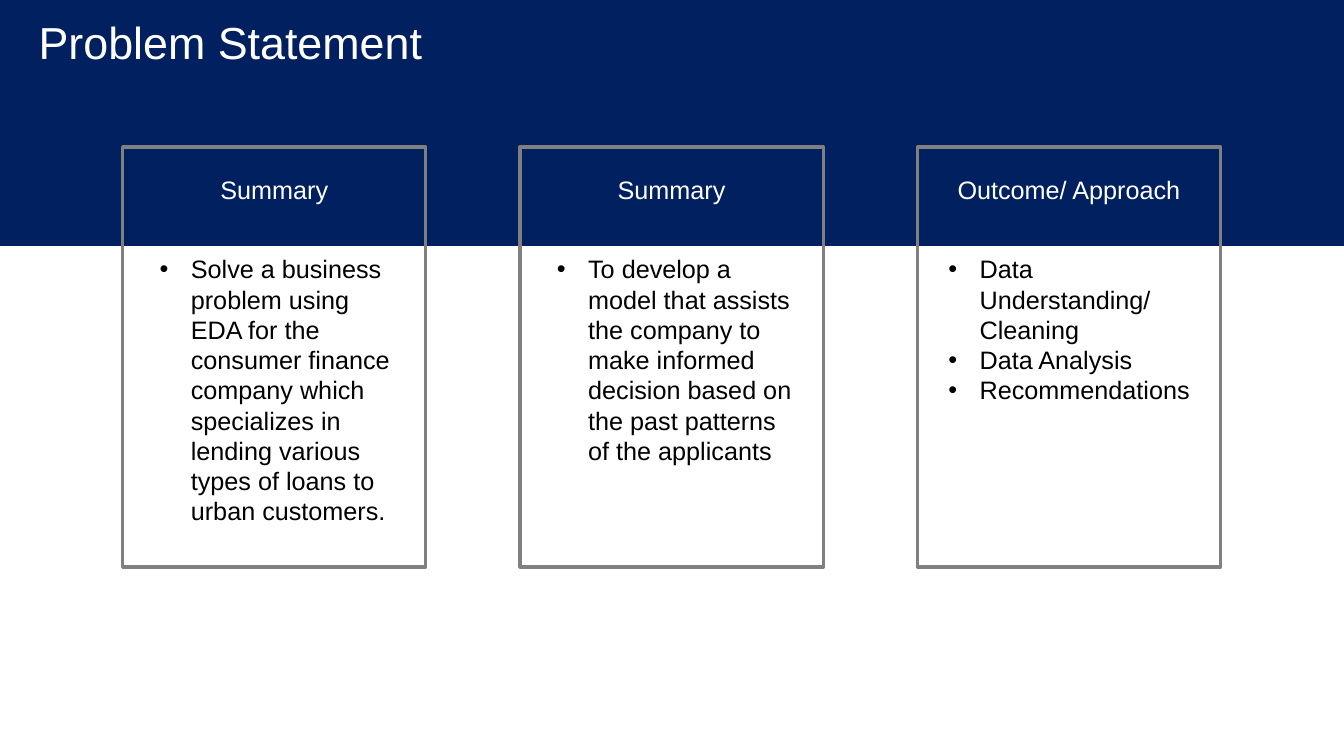
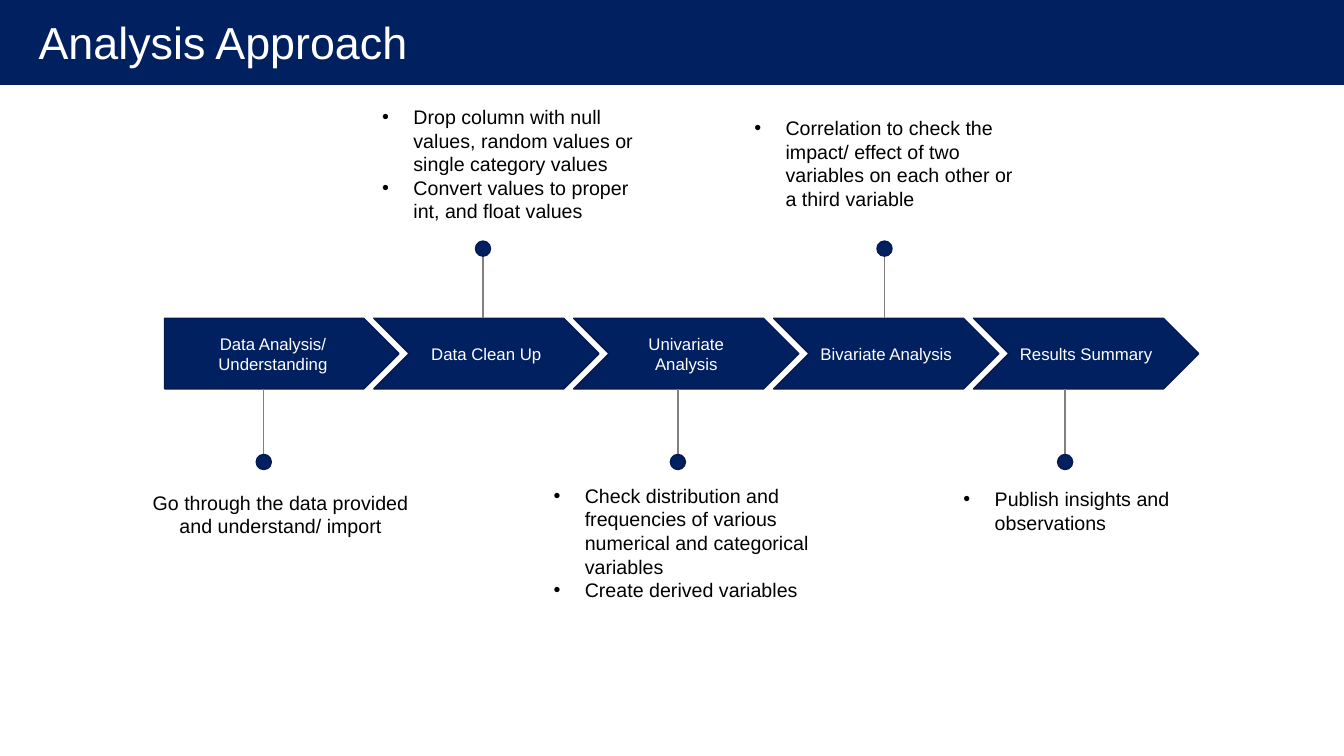
from lxml import etree
from pptx import Presentation
from pptx import util as u
from pptx.dml.color import RGBColor
from pptx.enum import shapes as es, text as et
from pptx.oxml import ns

NAVY = RGBColor(0x00, 0x20, 0x60)
EDGE = RGBColor(0x06, 0x19, 0x52)
GRAY = RGBColor(0x80, 0x80, 0x80)
WHITE = RGBColor(0xFF, 0xFF, 0xFF)
BLACK = RGBColor(0x00, 0x00, 0x00)

FONT = "Arial"
CELL = u.Inches(13.33) / 16  # the slide is 16 columns by 9 rows
LEFT, MID = et.PP_ALIGN.LEFT, et.PP_ALIGN.CENTER
TOP, HALF = et.MSO_ANCHOR.TOP, et.MSO_ANCHOR.MIDDLE
SHAPE = es.MSO_SHAPE


def grid(*cells):
    """Turn columns and rows into slide lengths."""
    return [u.Emu(round(cell * CELL)) for cell in cells]


def add_bullet(par):
    props = par._p.get_or_add_pPr()
    props.set("marL", str(u.Inches(0.31)))
    props.set("indent", str(-u.Inches(0.31)))
    etree.SubElement(props, ns.qn("a:buFont"), typeface=FONT)
    etree.SubElement(props, ns.qn("a:buChar"), char="•")


def write(shape, *lines, size=14, color=BLACK, align=LEFT, anchor=TOP,
          bullet=False, inset=0):
    """Fill a shape with one formatted paragraph per line."""
    frame = shape.text_frame
    frame.word_wrap = True
    frame.auto_size = et.MSO_AUTO_SIZE.NONE
    frame.vertical_anchor = anchor
    if inset is not None:
        frame.margin_left = frame.margin_right = u.Inches(inset)
        frame.margin_top = frame.margin_bottom = u.Inches(inset)
    for i, line in enumerate(lines):
        par = frame.paragraphs[0] if i == 0 else frame.add_paragraph()
        if bullet:
            add_bullet(par)
        par.alignment = align
        par.space_before = u.Pt(0)
        run = par.add_run()
        run.text = line
        font = run.font
        font.name, font.size, font.bold = FONT, u.Pt(size), False
        font.color.rgb = color


class Deck:
    def __init__(self):
        self.prs = Presentation()
        self.prs.slide_width, self.prs.slide_height = grid(16, 9)

    def start(self, title, band):
        """Open a slide with a title on a navy band of some rows."""
        # The comparison layout offers a title and four bodies
        self.slide = self.prs.slides.add_slide(self.prs.slide_layouts[4])
        self.shapes = self.slide.shapes
        self.bodies = [p for p in self.slide.placeholders
                       if 1 <= p.placeholder_format.idx <= 4]
        for part in list(self.slide.placeholders):
            if part.placeholder_format.idx > 4:
                self.drop(part)
        back = self.shape(SHAPE.RECTANGLE, 0, 0, 16, band, NAVY, NAVY)
        self.shapes._spTree.insert(2, back._element)
        head = self.shapes.title
        self.place(head, 0.46, 0.18, 5.98, 0.65)
        write(head, title, size=32, color=WHITE)

    def finish(self):
        """Remove the bodies that were not needed."""
        for body in self.bodies:
            self.drop(body)

    def drop(self, part):
        part._element.getparent().remove(part._element)

    def place(self, part, *box):
        part.left, part.top, part.width, part.height = grid(*box)

    def shape(self, kind, x, y, w, h, fill=None, line=EDGE, weight=1):
        item = self.shapes.add_shape(kind, *grid(x, y, w, h))
        item.shadow.inherit = False
        if fill is None:
            item.fill.background()
        else:
            item.fill.solid()
            item.fill.fore_color.rgb = fill
        item.line.color.rgb = line
        item.line.width = u.Pt(weight)
        return item

    def label(self, text, x, y, w, h, **style):
        write(self.shapes.add_textbox(*grid(x, y, w, h)), text, **style)

    def points(self, lines, x, y, w, h, size):
        body = self.bodies.pop(0)
        self.place(body, x, y, w, h)
        write(body, *lines, size=size, bullet=True)

    def stem(self, x, top, end):
        line = self.shapes.add_connector(es.MSO_CONNECTOR.STRAIGHT,
                                         *grid(x, top, x, end))
        line.line.color.rgb = GRAY
        line.line.width = u.Pt(1)
        etree.SubElement(line._element.spPr, ns.qn("a:effectLst"))

    def pin(self, x, top, end, dot):
        """Draw a stem with a dot whose top is at row dot."""
        self.stem(x, top, end)
        self.shape(SHAPE.OVAL, x - 0.09, dot, 0.18, 0.18, NAVY)


def problem(deck):
    deck.start("Problem Statement", 2.92)
    # Heading, list inset, list width, list height, list lines
    cards = [
        ("Summary", 0.44, 2.87, 3.64,
         ["Solve a business problem using EDA for the consumer finance "
          "company which specializes in lending various types of loans "
          "to urban customers."]),
        ("Summary", 0.44, 2.87, 2.54,
         ["To develop a model that assists the company to make informed "
          "decision based on the past patterns of the applicants"]),
        ("Outcome/ Approach", 0.37, 3.07, 1.81,
         ["Data Understanding/ Cleaning", "Data Analysis",
          "Recommendations"]),
    ]
    for i, (head, inset, wide, high, lines) in enumerate(cards):
        x = 1.46 + 4.73 * i
        deck.shape(SHAPE.RECTANGLE, x, 1.75, 3.61, 5, line=GRAY, weight=2.25)
        deck.label(head, x + 0.37, 2.08, 2.87, 0.36,
                   size=18, color=WHITE, align=MID)
        deck.points(lines, x + inset, 3.02, wide, high, 18)
    deck.finish()


def approach(deck):
    deck.start("Analysis Approach", 1)

    # Row of arrows; the first one reaches a little further left
    steps = ["Data Analysis/ Understanding", "Data Clean Up",
             "Univariate Analysis", "Bivariate Analysis", "Results Summary"]
    row, high = 3.79, 0.84
    for i, step in enumerate(steps):
        kind, more = (SHAPE.CHEVRON, 0) if i else (SHAPE.PENTAGON, 0.11)
        arrow = deck.shape(kind, 2.07 + 2.38 * i - more, row,
                           2.68 + more, high, NAVY)
        write(arrow, step, size=12, color=WHITE, align=MID, anchor=HALF,
              inset=None)

    # Pins, in turn below and above the row
    for i, x in enumerate([3.14, 5.75, 8.07, 10.53, 12.68]):
        if i % 2:
            deck.pin(x, 3.02, row, 2.87)
        else:
            deck.pin(x, row + high, 5.41, 5.41)

    # Notes at the pins
    deck.label("Go through the data provided and understand/ import",
               1.76, 5.84, 3.16, 0.56, align=MID)
    notes = [
        (4.55, 1.25, 1.42,
         ["Drop column with null values, random values or single category "
          "values", "Convert values to proper int, and float values"]),
        (6.59, 5.76, 1.69,
         ["Check distribution and frequencies of various numerical and "
          "categorical variables", "Create derived variables"]),
        (8.98, 1.38, 1.13,
         ["Correlation to check the impact/ effect of two variables on each "
          "other or a third variable"]),
        (11.47, 5.8, 0.56, ["Publish insights and observations"]),
    ]
    for x, y, tall, lines in notes:
        deck.points(lines, x, y, 3.16, tall, 14)
    deck.finish()


def main():
    deck = Deck()
    problem(deck)
    approach(deck)
    deck.prs.save("out.pptx")


if __name__ == "__main__":
    main()
